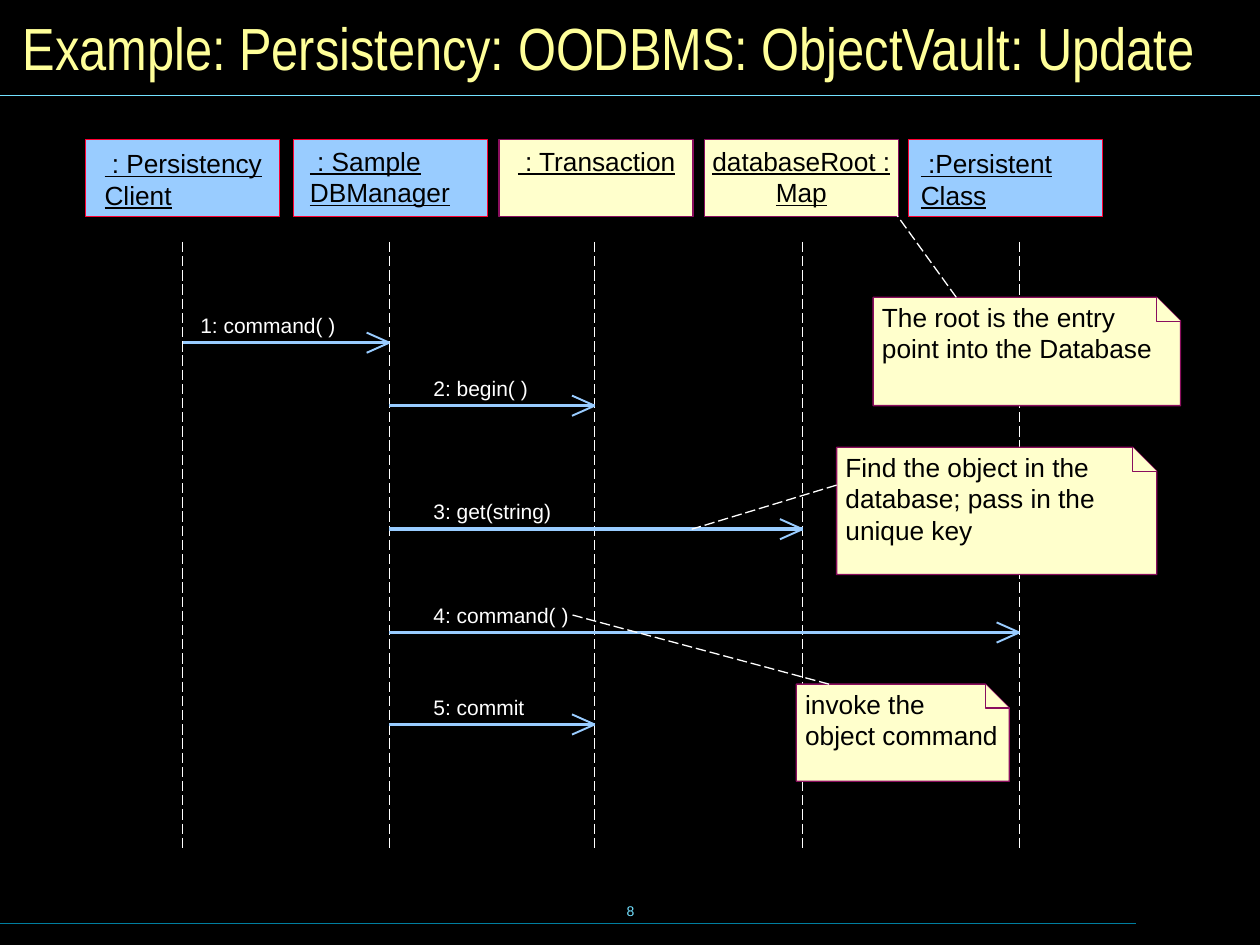
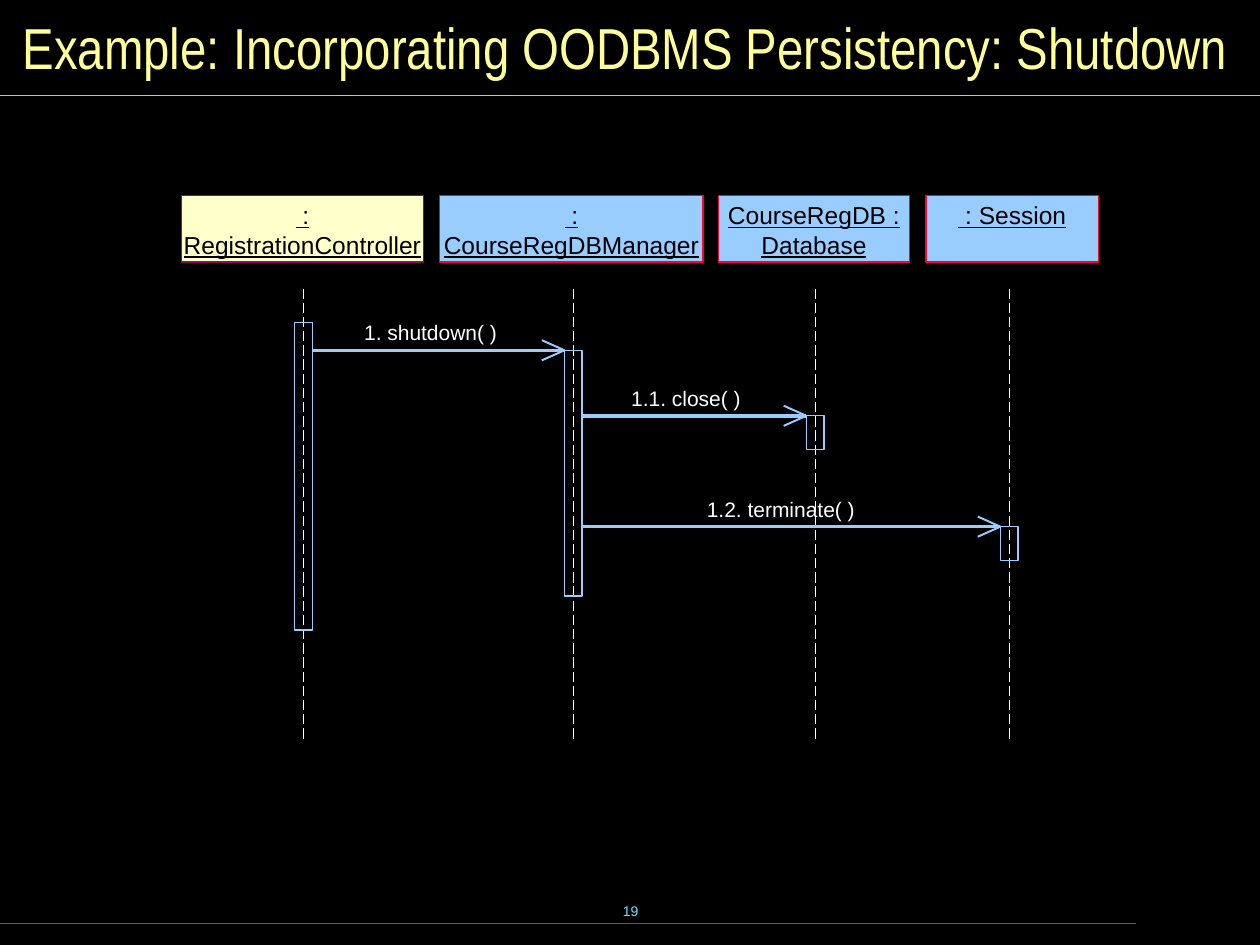
"""Build two sequence diagram slides on object database persistency."""
from lxml.etree import SubElement
from pptx import Presentation
from pptx.dml.color import RGBColor
from pptx.enum.dml import MSO_LINE
from pptx.enum.shapes import MSO_CONNECTOR, MSO_SHAPE
from pptx.enum.text import MSO_ANCHOR, MSO_AUTO_SIZE, PP_ALIGN
from pptx.oxml.ns import qn
from pptx.util import Inches, Pt

BLACK = RGBColor(0x00, 0x00, 0x00)
WHITE = RGBColor(0xFF, 0xFF, 0xFF)
BLUE = RGBColor(0x99, 0xCC, 0xFF)
RED = RGBColor(0xFF, 0x00, 0x33)
CREAM = RGBColor(0xFF, 0xFF, 0xCC)
PLUM = RGBColor(0x8A, 0x0E, 0x5E)
YELLOW = RGBColor(0xFF, 0xFF, 0x99)
CYAN = RGBColor(0x73, 0xE1, 0xFF)
TEAL = RGBColor(0x00, 0x7E, 0x9F)

OWN = (BLUE, RED)
LIB = (CREAM, PLUM)
BAR = 0.14
FOLD = 0.19
BARB = (0.18, 0.08)

# roles: text, colours, left, width, lifeline x, text indent (None is centred), text drop
# calls: text, from role, to role, y, label x
# bars: role, top, height
# notes: text, left, top, width, height
# links: x1, y1, x2, y2
SLIDES = [
    {
        "title": "Example: Persistency: OODBMS: ObjectVault: Update",
        "size": 34, "number": "8",
        "top": 1.11, "high": 0.61, "font": 15, "life": (1.92, 6.73), "gap": 0,
        "roles": [
            (" : Persistency\vClient", OWN, 0.68, 1.54, 1.45, 0.15, 0.06),
            (" : Sample\vDBManager", OWN, 2.33, 1.54, 3.09, 0.13, 0.04),
            (" : Transaction", LIB, 3.96, 1.54, 4.72, 0.15, 0.04),
            ("databaseRoot :\vMap", LIB, 5.59, 1.54, 6.37, None, 0.04),
            (" :Persistent\vClass", OWN, 7.21, 1.54, 8.09, 0.1, 0.06),
        ],
        "calls": [
            ("1: command( )", 0, 1, 2.72, 1.59),
            ("2: begin( )", 1, 2, 3.22, 3.44),
            ("3: get(string)", 1, 3, 4.2, 3.44),
            ("4: command( )", 1, 4, 5.02, 3.44),
            ("5: commit", 1, 2, 5.75, 3.44),
        ],
        "bars": [],
        "notes": [
            ("The root is the entry\vpoint into the Database", 6.93, 2.36, 2.44, 0.86),
            ("Find the object in the\vdatabase; pass in the\vunique key",
             6.64, 3.55, 2.54, 1.01),
            ("invoke the\vobject command", 6.32, 5.43, 1.69, 0.77),
        ],
        "links": [
            (7.59, 2.36, 7.12, 1.71),
            (6.64, 3.85, 5.49, 4.2),
            (6.58, 5.43, 4.54, 4.88),
        ],
    },
    {
        "title": "Example: Incorporating OODBMS Persistency: Shutdown",
        "size": 33, "number": "19",
        "top": 1.55, "high": 0.53, "font": 14, "life": (2.29, 5.88), "gap": BAR / 2,
        "roles": [
            (" :\vRegistrationController", LIB, 1.44, 1.92, 2.41, None, 0.04),
            (" :\vCourseRegDBManager", OWN, 3.49, 2.09, 4.55, None, 0.04),
            ("CourseRegDB :\vDatabase", OWN, 5.7, 1.52, 6.47, None, 0.04),
            (" : Session", OWN, 7.35, 1.37, 8.01, None, 0.04),
        ],
        "calls": [
            ("1. shutdown( )", 0, 1, 2.78, 2.89),
            ("1.1. close( )", 1, 2, 3.3, 5.01),
            ("1.2. terminate( )", 1, 3, 4.18, 5.61),
        ],
        "bars": [(0, 2.56, 2.44), (1, 2.78, 1.95), (2, 3.3, 0.27), (3, 4.18, 0.27)],
        "notes": [],
        "links": [],
    },
]


def rule(slide, x1, y1, x2, y2, color, width=0.75, dash=False):
    line = slide.shapes.add_connector(
        MSO_CONNECTOR.STRAIGHT, Inches(x1), Inches(y1), Inches(x2), Inches(y2))
    line.line.color.rgb = color
    line.line.width = Pt(width)
    if dash:
        line.line.dash_style = MSO_LINE.LONG_DASH
    SubElement(line.element.spPr, qn("a:effectLst"))


def paint(shape, edge, fill=None):
    shape.shadow.inherit = False
    shape.line.color.rgb = edge
    shape.line.width = Pt(0)
    if fill is None:
        shape.fill.background()
    else:
        shape.fill.solid()
        shape.fill.fore_color.rgb = fill


def write(shape, text, size, color, left=0, top=0, center=False, wrap=True,
          under=None, face="Arial", anchor=MSO_ANCHOR.TOP):
    frame = shape.text_frame
    frame.auto_size = MSO_AUTO_SIZE.NONE
    frame.word_wrap = wrap
    frame.vertical_anchor = anchor
    frame.margin_left, frame.margin_top = Inches(left), Inches(top)
    frame.margin_right = frame.margin_bottom = 0
    frame.text = text
    para = frame.paragraphs[0]
    para.alignment = PP_ALIGN.CENTER if center else PP_ALIGN.LEFT
    if "\v" in text:
        para.line_spacing = Pt(1.2 * size)
    font = para.font
    font.name, font.size, font.underline = face, Pt(size), under
    font.color.rgb = color


def place(slide, left, top, width, height):
    return slide.shapes.add_textbox(
        Inches(left), Inches(top), Inches(width), Inches(height))


def rect(slide, left, top, width, height):
    return slide.shapes.add_shape(
        MSO_SHAPE.RECTANGLE, Inches(left), Inches(top), Inches(width), Inches(height))


def trace(slide, points, close):
    spots = [(Inches(x), Inches(y)) for x, y in points]
    form = slide.shapes.build_freeform(*spots[0])
    form.add_line_segments(spots[1:], close=close)
    shape = form.convert_to_shape()
    paint(shape, PLUM, CREAM)
    return shape


def frame(slide, data):
    title = slide.shapes.title
    title.left, title.top = Inches(0.08), Inches(0.08)
    title.width, title.height = Inches(9.84), Inches(0.58)
    write(title, data["title"], data["size"], YELLOW, left=0.1,
          face="Arial Narrow", anchor=MSO_ANCHOR.MIDDLE)
    rule(slide, 0, 0.76, 10, 0.76, CYAN)
    rule(slide, 0, 7.33, 9.02, 7.33, TEAL)
    write(place(slide, 3.42, 6.98, 3.17, 0.5), data["number"], 8, CYAN,
          center=True, anchor=MSO_ANCHOR.MIDDLE)


def role(slide, data, text, look, left, width, life, indent, drop):
    box = rect(slide, left, data["top"], width, data["high"])
    fill, edge = look
    paint(box, edge, fill)
    mid = indent is None
    write(box, text, data["font"], BLACK, left=indent or 0, top=drop,
          center=mid, wrap=not mid, under=True)
    start, end = data["life"]
    rule(slide, life, start, life, end, WHITE, dash=True)


def note(slide, text, left, top, width, height):
    right, base = left + width, top + height
    bend = right - FOLD
    page = trace(slide, [(left, top), (bend, top), (right, top + FOLD),
                         (right, base), (left, base)], True)
    write(page, text, 15, BLACK, left=0.07, top=0.03)
    trace(slide, [(bend, top), (bend, top + FOLD), (right, top + FOLD)], False)


def call(slide, data, text, source, target, y, left):
    lives = [item[4] for item in data["roles"]]
    start, end = lives[source] + data["gap"], lives[target] - data["gap"]
    rule(slide, start, y, end, y, BLUE, 0)
    back, rise = BARB
    for side in (-rise, rise):
        rule(slide, end, y, end - back, y + side, BLUE, 1.1)
    write(place(slide, left, y - 0.24, 1.5, 0.2), text, 12, WHITE)


def draw(slide, data):
    frame(slide, data)
    for item in data["roles"]:
        role(slide, data, *item)
    for index, top, height in data["bars"]:
        life = data["roles"][index][4]
        paint(rect(slide, life - BAR / 2, top, BAR, height), BLUE)
    for item in data["notes"]:
        note(slide, *item)
    for item in data["calls"]:
        call(slide, data, *item)
    for item in data["links"]:
        rule(slide, *item, WHITE, dash=True)


def main():
    deck = Presentation()
    deck.slide_width, deck.slide_height = Inches(10), Inches(7.5)
    back = deck.slide_master.background.fill
    back.solid()
    back.fore_color.rgb = BLACK
    for data in SLIDES:
        draw(deck.slides.add_slide(deck.slide_layouts[5]), data)
    deck.save("out.pptx")


if __name__ == "__main__":
    main()
